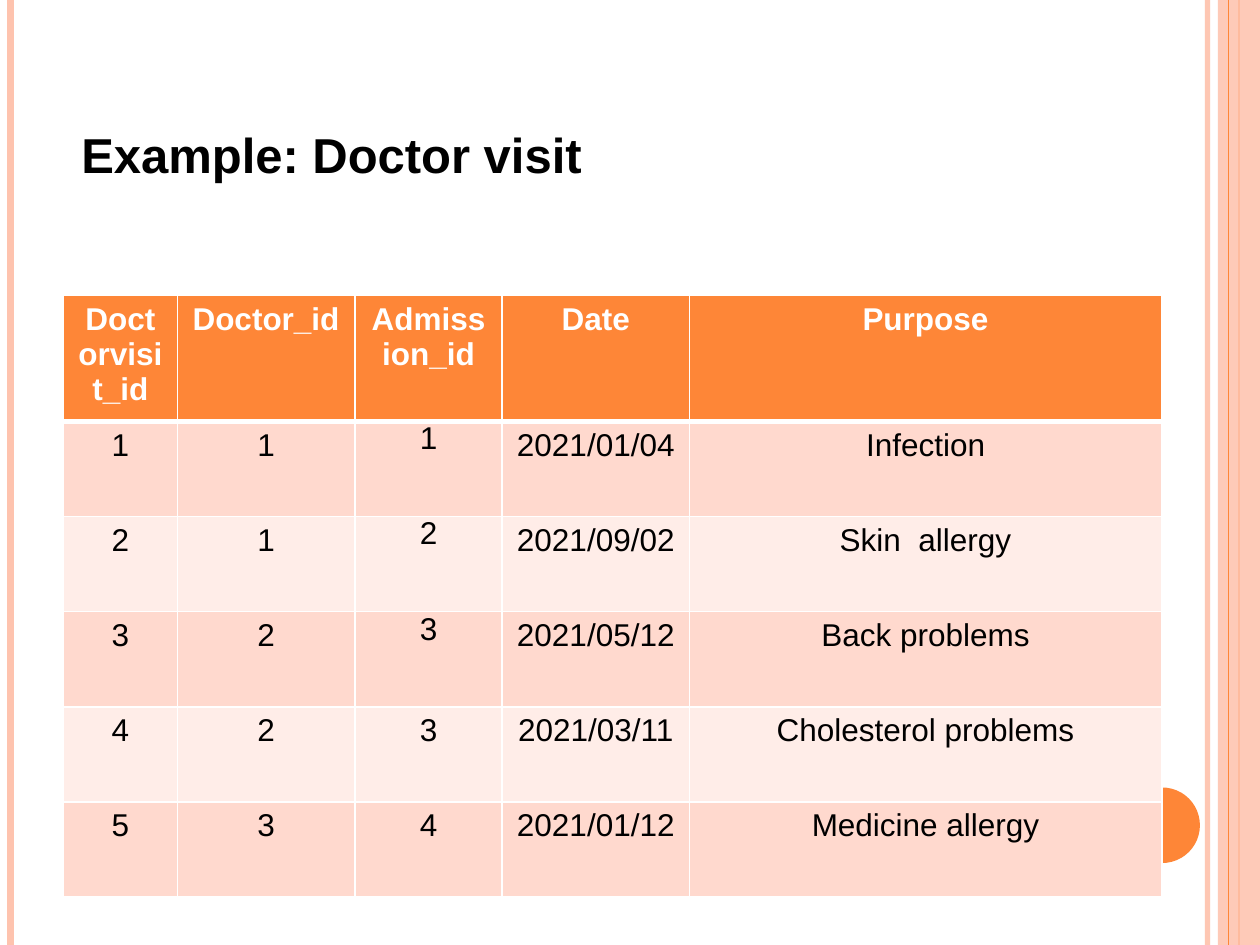
from dataclasses import dataclass

from lxml import etree
from pptx import Presentation
from pptx.dml.color import RGBColor
from pptx.enum import shapes, text
from pptx.oxml import ns
from pptx.util import Pt


@dataclass(frozen=True)
class Theme:
    font: str = "Arial"
    title_size: float = 28
    cell_size: float = 18
    ink: str = "000000"
    paper: str = "FFFFFF"
    accent: str = "FE8637"
    stripe: str = "FEC3AE"
    bands: tuple = ("FFD9CE", "FFEDE8")


def set_alpha(fill_parent, percent):
    clr = next(fill_parent.iter(ns.qn("a:srgbClr")))
    etree.SubElement(clr, ns.qn("a:alpha")).set("val", str(percent * 1000))


class SlideBuilder:
    def __init__(self, slide, theme):
        self.s = slide
        self.theme = theme

    def format_text(self, tf, content, size, color, bold, align):
        p = tf.paragraphs[0]
        p.alignment = align
        r = p.add_run()
        r.text = content
        for name, value in {"name": self.theme.font, "size": Pt(size), "bold": bold}.items():
            setattr(r.font, name, value)
        r.font.color.rgb = RGBColor.from_string(color)

    def vertical_line(self, x, height, color, width, alpha=None):
        ln = self.s.shapes.add_connector(
            shapes.MSO_CONNECTOR.STRAIGHT, Pt(x), Pt(0), Pt(x), Pt(height))
        ln.line.color.rgb = RGBColor.from_string(color)
        ln.line.width = Pt(width)
        props = ln._element.spPr
        if alpha:
            set_alpha(props, alpha)
        etree.SubElement(props, ns.qn("a:effectLst"))

    def shape(self, kind, box, color, alpha=None):
        sp = self.s.shapes.add_shape(kind, *map(Pt, box))
        sp.shadow.inherit = False
        sp.fill.solid()
        sp.fill.fore_color.rgb = RGBColor.from_string(color)
        sp.line.fill.background()
        if alpha:
            set_alpha(sp._element.spPr, alpha)

    def title(self, box, content):
        tf = self.s.shapes.add_textbox(*map(Pt, box)).text_frame
        tf.word_wrap = True
        tf.auto_size = text.MSO_AUTO_SIZE.SHAPE_TO_FIT_TEXT
        self.format_text(tf, content, self.theme.title_size, self.theme.ink,
                         True, text.PP_ALIGN.LEFT)

    def cell_borders(self, cell, widths):
        """Draw the borders; widths maps L, R, T, B (in that order) to points."""
        tc_pr = cell._tc.get_or_add_tcPr()
        for i, (side, width) in enumerate(widths.items()):
            ln = etree.Element(ns.qn(f"a:ln{side}"), w=str(Pt(width)))
            fill = etree.SubElement(ln, ns.qn("a:solidFill"))
            etree.SubElement(fill, ns.qn("a:srgbClr"), val=self.theme.paper)
            tc_pr.insert(i, ln)

    def table(self, left, top, col_widths, row_heights, rows, tight_cells):
        """Header plus banded rows; tight_cells have no top or bottom margin."""
        th = self.theme
        frame = self.s.shapes.add_table(
            len(rows), len(col_widths), Pt(left), Pt(top),
            Pt(sum(col_widths)), Pt(sum(row_heights)))
        tbl = frame.table
        tbl.horz_banding = False
        for col, width in zip(tbl.columns, col_widths):
            col.width = Pt(width)
        for i, (values, height) in enumerate(zip(rows, row_heights)):
            tbl.rows[i].height = Pt(height)
            header = i == 0
            borders = {"L": 1, "R": 1, "T": 3 if i == 1 else 1, "B": 3 if header else 1}
            for j, value in enumerate(values):
                cell = tbl.cell(i, j)
                cell.fill.solid()
                cell.fill.fore_color.rgb = RGBColor.from_string(
                    th.accent if header else th.bands[(i - 1) % 2])
                self.cell_borders(cell, borders)
                if (i, j) in tight_cells:
                    margins = {"margin_left": 5, "margin_right": 5,
                               "margin_top": 0, "margin_bottom": 0}
                    for name, margin in margins.items():
                        setattr(cell, name, Pt(margin))
                self.format_text(cell.text_frame, value, th.cell_size,
                                 th.paper if header else th.ink, header,
                                 text.PP_ALIGN.CENTER)


VISITS = [
    ("Doctorvisit_id", "Doctor_id", "Admission_id", "Date", "Purpose"),
    ("1", "1", "1", "2021/01/04", "Infection"),
    ("2", "1", "2", "2021/09/02", "Skin  allergy"),
    ("3", "2", "3", "2021/05/12", "Back problems"),
    ("4", "2", "3", "2021/03/11", "Cholesterol problems"),
    ("5", "3", "4", "2021/01/12", "Medicine allergy"),
]


def main():
    width, height = 720, 540
    prs = Presentation()
    prs.slide_width, prs.slide_height = Pt(width), Pt(height)
    theme = Theme()
    b = SlideBuilder(prs.slides.add_slide(prs.slide_layouts[6]), theme)

    b.vertical_line(690, height, theme.stripe, 3, alpha=93)
    b.vertical_line(6, height, theme.stripe, 4.5)
    b.vertical_line(708, height, theme.accent, 1.5)
    b.shape(shapes.MSO_SHAPE.RECTANGLE, (696, 0, 24, height), theme.stripe, alpha=87)
    b.vertical_line(702, height, theme.accent, 0.75)
    b.shape(shapes.MSO_SHAPE.OVAL, (642.5, 450, 43.2, 43.2), theme.accent)

    b.table(36.3, 168.7, (65, 101.5, 84.2, 106.9, 270), (72,) + (54.4,) * 5,
            VISITS, tight_cells={(1, 2), (2, 2), (3, 2)})
    b.title((39.4, 67.7, 442, 41.2), "Example: Doctor visit")

    prs.save("out.pptx")


if __name__ == "__main__":
    main()
